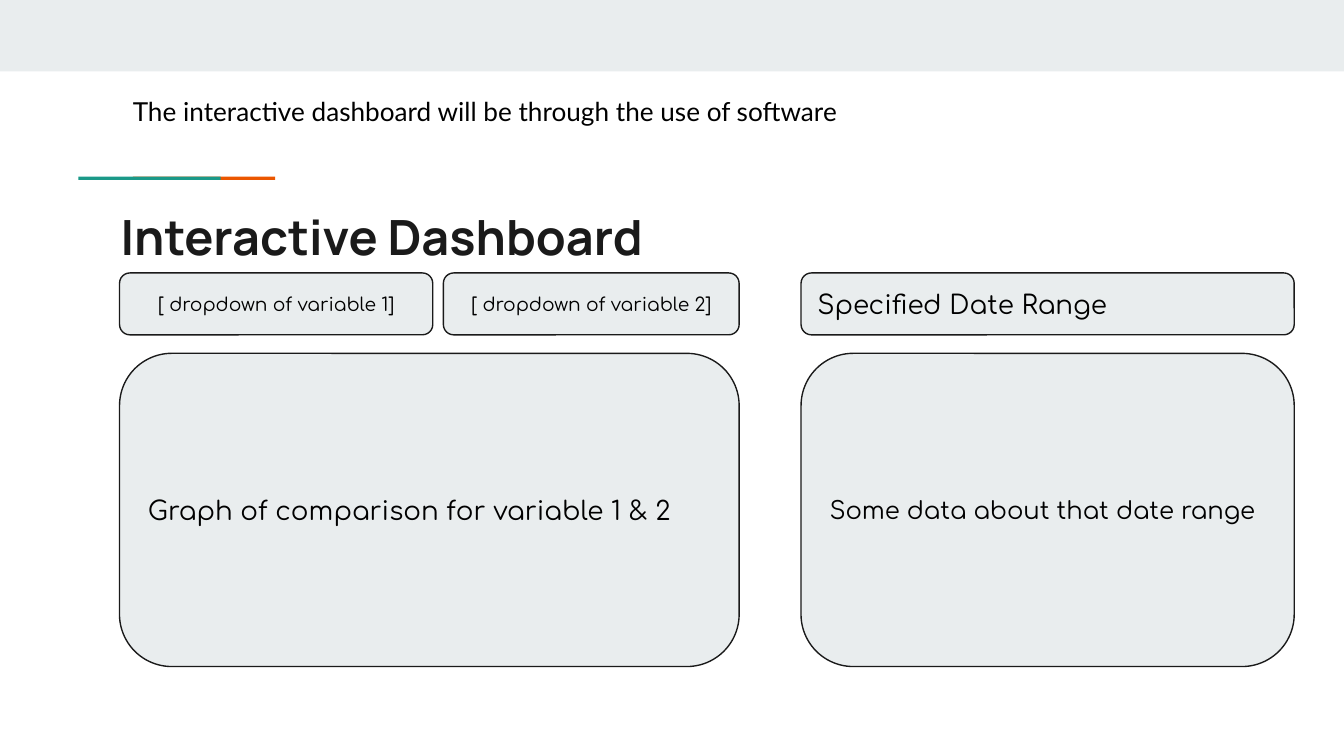
import pptx
import pptx.dml.color
import pptx.enum.shapes
import pptx.enum.text
import pptx.util

Cm = pptx.util.Cm
RGBColor = pptx.dml.color.RGBColor
MSO_SHAPE = pptx.enum.shapes.MSO_SHAPE
ALIGN = pptx.enum.text.PP_ALIGN
ANCHOR = pptx.enum.text.MSO_ANCHOR

PALE = RGBColor(0xE9, 0xED, 0xEE)
ORANGE = RGBColor(0xEB, 0x56, 0x00)
TEAL = RGBColor(0x1A, 0x99, 0x88)
INK = RGBColor(0x1A, 0x1A, 0x1A)
BLACK = RGBColor(0, 0, 0)

SLIDE_WIDTH, SLIDE_HEIGHT = 25.4, 14.29

# Columns as (left, width) and rows as (top, height), in cm
GRAPH_COLUMN = (2.26, 11.71)
DATE_COLUMN = (15.14, 9.32)
FIRST_DROPDOWN = (2.26, 5.92)
SECOND_DROPDOWN = (8.38, 5.59)
CONTROL_ROW = (5.16, 1.17)
PANEL_ROW = (6.68, 5.92)

# Left, top, width, height, colour; teal lies over orange
BARS = [
    (0, 0, SLIDE_WIDTH, 1.35, PALE),
    (2.51, 3.34, 2.69, 0.06, ORANGE),
    (1.48, 3.34, 2.69, 0.06, TEAL),
]

PANELS = [
    ("Graph of comparison for variable 1 & 2", GRAPH_COLUMN, PANEL_ROW, 14, ALIGN.LEFT),
    ("[ dropdown of variable 1]", FIRST_DROPDOWN, CONTROL_ROW, 10, ALIGN.CENTER),
    ("[ dropdown of variable 2]", SECOND_DROPDOWN, CONTROL_ROW, 10, ALIGN.CENTER),
    ("Specified Date Range", DATE_COLUMN, CONTROL_ROW, 14, ALIGN.LEFT),
    ("Some data about that date range", DATE_COLUMN, PANEL_ROW, 13, ALIGN.LEFT),
]

HEADINGS = [
    ("Interactive Dashboard", (2.03, 3.66, 21.36, 1.5),
     {"name": "Manrope", "size": pptx.util.Pt(26), "bold": True}, INK),
    ("The interactive dashboard will be through the use of software",
     (2.26, 1.55, 14.35, 1.17), {"name": "Lato", "size": pptx.util.Pt(14)}, BLACK),
]


def write(shape, text, font_format, colour, align=ALIGN.LEFT, anchor=ANCHOR.TOP):
    frame = shape.text_frame
    frame_format = {"word_wrap": True, "vertical_anchor": anchor}
    for side in ("left", "right", "top", "bottom"):
        frame_format[f"margin_{side}"] = Cm(0.25)
    for attribute, value in frame_format.items():
        setattr(frame, attribute, value)
    paragraph = frame.paragraphs[0]
    paragraph.alignment = align
    run = paragraph.add_run()
    run.text = text
    for attribute, value in font_format.items():
        setattr(run.font, attribute, value)
    run.font.color.rgb = colour


def add_filled(slide, preset, box, colour):
    shape = slide.shapes.add_shape(preset, *map(Cm, box))
    shape.shadow.inherit = False
    shape.fill.solid()
    shape.fill.fore_color.rgb = colour
    return shape


def main():
    deck = pptx.Presentation()
    deck.slide_width, deck.slide_height = Cm(SLIDE_WIDTH), Cm(SLIDE_HEIGHT)
    slide = deck.slides.add_slide(deck.slide_layouts[6])

    for *box, colour in BARS:
        add_filled(slide, MSO_SHAPE.RECTANGLE, box, colour).line.fill.background()

    for text, (left, width), (top, height), size, align in PANELS:
        panel = add_filled(slide, MSO_SHAPE.ROUNDED_RECTANGLE,
                           (left, top, width, height), PALE)
        panel.line.color.rgb = INK
        panel.line.width = pptx.util.Pt(0.75)
        font_format = {"name": "Comfortaa", "size": pptx.util.Pt(size)}
        write(panel, text, font_format, BLACK, align, ANCHOR.MIDDLE)

    for text, box, font_format, colour in HEADINGS:
        heading = slide.shapes.add_textbox(*map(Cm, box))
        write(heading, text, font_format, colour)

    deck.save("out.pptx")


if __name__ == "__main__":
    main()
